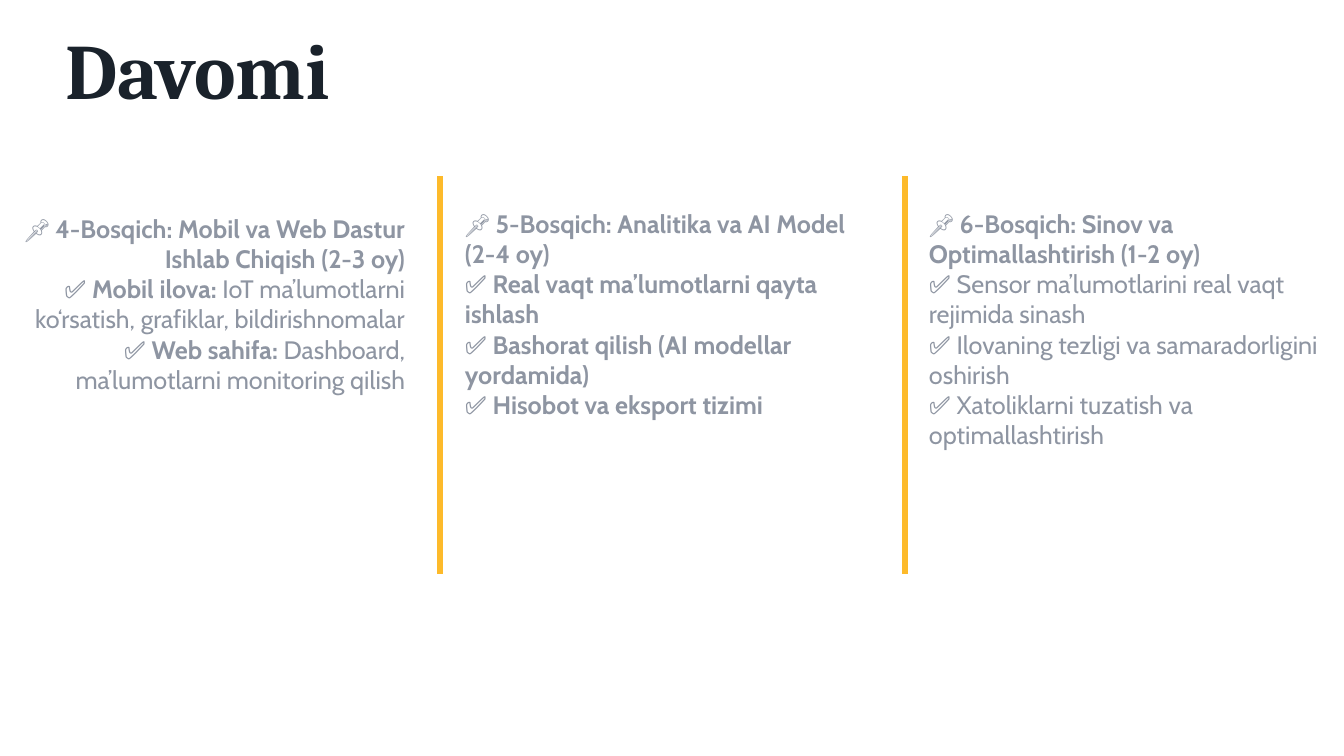
import pptx
import pptx.dml.color
import pptx.enum.shapes
import pptx.enum.text
import pptx.util
import lxml.etree

ALIGN = pptx.enum.text.PP_ALIGN


def rgb(value):
    return pptx.dml.color.RGBColor.from_string(value)


class Deck:
    """Holds the style and the current slide, with lengths given in px."""

    PX = 914400 / 100.8
    DARK, GREY, YELLOW = "1A222B", "8E95A2", "FDBA2A"
    HEAD_FONT, BODY_FONT = "Cambria", "Cabin"

    def __init__(self, width, height):
        self.prs = pptx.Presentation()
        self.prs.slide_width = self.px(width)
        self.prs.slide_height = self.px(height)
        self.s = self.prs.slides.add_slide(self.prs.slide_layouts[6])

    def px(self, n):
        return pptx.util.Emu(round(n * self.PX))

    def text(self, box, lines, font, size, color, align):
        sp = self.s.shapes.add_textbox(*map(self.px, box))
        tf = sp.text_frame
        tf.word_wrap = True
        tf.auto_size = pptx.enum.text.MSO_AUTO_SIZE.SHAPE_TO_FIT_TEXT
        tf.margin_left = tf.margin_right = self.px(5)
        tf.margin_top = tf.margin_bottom = self.px(5)
        for i, line in enumerate(lines):
            p = tf.add_paragraph() if i else tf.paragraphs[0]
            p.alignment = align
            for j, part in enumerate(line.split("*")):
                if part:
                    r = p.add_run()
                    r.text = part
                    r.font.name = font
                    r.font.size = pptx.util.Pt(size)
                    r.font.bold = j % 2 == 1
                    r.font.color.rgb = rgb(color)

    def title(self, box, text):
        self.text(box, [f"*{text}*"], self.HEAD_FONT, 56, self.DARK, ALIGN.CENTER)

    def stage(self, box, lines, align=ALIGN.LEFT):
        self.text(box, lines, self.BODY_FONT, 18, self.GREY, align)

    def divider(self, x, top, bottom):
        line = self.s.shapes.add_connector(
            pptx.enum.shapes.MSO_CONNECTOR.STRAIGHT,
            self.px(x), self.px(bottom), self.px(x), self.px(top))
        line.line.color.rgb = rgb(self.YELLOW)
        line.line.width = pptx.util.Pt(4)
        lxml.etree.SubElement(line._element.spPr, pptx.oxml.ns.qn("a:effectLst"))


def main():
    deck = Deck(1344, 756)
    deck.title((-133, 16, 661, 105), "Davomi")
    deck.stage((-15, 208, 425, 194), [
        "*📌 4-Bosqich: Mobil va Web Dastur Ishlab Chiqish (2-3 oy)*",
        "✅ *Mobil ilova:* IoT ma’lumotlarni ko‘rsatish, grafiklar, bildirishnomalar",
        "✅ *Web sahifa:* Dashboard, ma’lumotlarni monitoring qilish",
    ], ALIGN.RIGHT)
    deck.stage((460, 203, 425, 224), [
        "*📌 5-Bosqich: Analitika va AI Model (2-4 oy)*",
        "✅ *Real vaqt ma’lumotlarni qayta ishlash*",
        "✅ *Bashorat qilish (AI modellar yordamida)*",
        "✅ *Hisobot va eksport tizimi*",
    ])
    deck.stage((924, 203, 425, 254), [
        "*📌 6-Bosqich: Sinov va Optimallashtirish (1-2 oy)*",
        "✅ Sensor ma’lumotlarini real vaqt rejimida sinash",
        "✅ Ilovaning tezligi va samaradorligini oshirish",
        "✅ Xatoliklarni tuzatish va optimallashtirish",
    ])
    for x in (440, 905):
        deck.divider(x, 176, 574)
    deck.prs.save("out.pptx")


if __name__ == "__main__":
    main()
